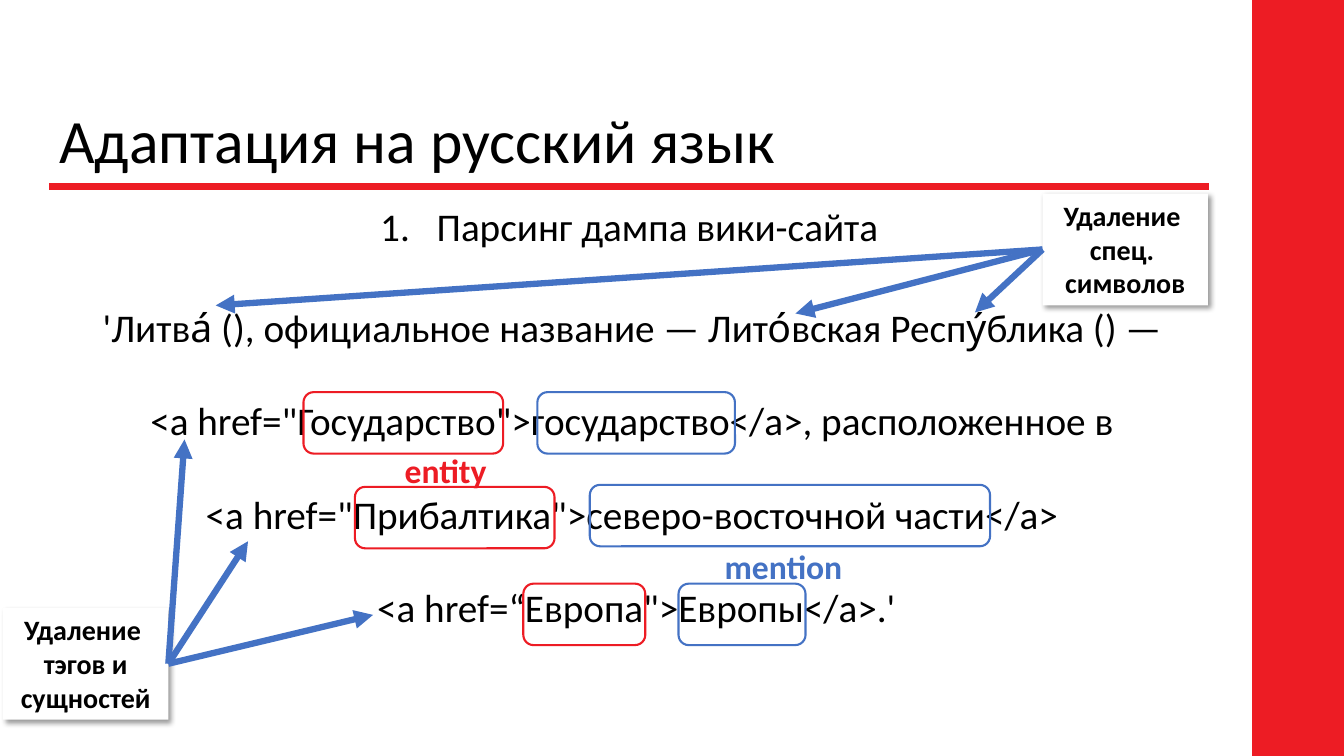
from dataclasses import dataclass

from lxml.etree import SubElement
from pptx import Presentation
from pptx.dml.color import RGBColor
from pptx.enum.shapes import MSO_CONNECTOR as Connector, MSO_SHAPE as Preset
from pptx.enum.text import MSO_ANCHOR as Anchor, PP_ALIGN as Align
from pptx.oxml.ns import qn
from pptx.util import Inches, Pt


@dataclass(frozen=True)
class Theme:
    font: str = "Calibri"
    red: str = "ED1C24"
    blue: str = "4472C4"
    black: str = "000000"
    white: str = "FFFFFF"
    title: int = 44
    body: int = 28
    label: int = 24
    callout: int = 20
    thick: float = 4.5
    thin: float = 1.5


THEME = Theme()


def color(value):
    return RGBColor.from_string(value)


def fill_text(shape, lines, size, tint=THEME.black, bold=False, align=Align.CENTER,
              anchor=Anchor.TOP, spacing=1.0, gap=0):
    frame = shape.text_frame
    frame.word_wrap = True
    frame.vertical_anchor = anchor
    for index, line in enumerate(lines):
        para = frame.paragraphs[0] if index == 0 else frame.add_paragraph()
        para.alignment = align
        para.line_spacing = spacing
        para.space_before = Pt(gap if index else 0)
        span = para.add_run()
        span.text = line
        span.font.name = THEME.font
        span.font.size = Pt(size)
        span.font.bold = bold
        span.font.color.rgb = color(tint)
    return frame


def add_text(page, box, lines, size, **style):
    shape = page.shapes.add_textbox(*map(Inches, box))
    return fill_text(shape, lines, size, **style)


def add_line(page, start, end, tint, arrow=False):
    line = page.shapes.add_connector(Connector.STRAIGHT, *map(Inches, start + end))
    line.line.color.rgb = color(tint)
    line.line.width = Pt(THEME.thick)
    if arrow:
        SubElement(line.line._get_or_add_ln(), qn("a:tailEnd"), type="triangle")
    SubElement(line._element.spPr, qn("a:effectLst"))


def add_side_band(page, box):
    band = page.shapes.add_shape(Preset.RECTANGLE, *map(Inches, box))
    band.shadow.inherit = False
    band.fill.solid()
    band.fill.fore_color.rgb = color(THEME.red)
    band.line.color.rgb = color(THEME.red)
    band.line.width = Pt(1)


def add_heading(page, box, text):
    left, top, width, height = box
    base = top + height
    add_line(page, (left, base), (left + width, base), THEME.red)
    add_text(page, box, [text], THEME.title, align=Align.LEFT,
             anchor=Anchor.MIDDLE, spacing=0.9)


def add_step(page, box, text):
    frame = add_text(page, box, [text], THEME.body, spacing=0.9)
    props = frame.paragraphs[0]._p.get_or_add_pPr()
    props.set("marL", str(Inches(0.56)))
    props.set("indent", str(-Inches(0.56)))
    SubElement(props, qn("a:buFont"), typeface="+mj-lt")
    SubElement(props, qn("a:buAutoNum"), type="arabicPeriod")


def add_markup(page, box, lines, frames, labels):
    left, top = box[:2]
    add_text(page, box, lines, THEME.body, gap=33)
    for x, y, width, tint in frames:
        place = map(Inches, (left + x, top + y, width, 0.61))
        outline = page.shapes.add_shape(Preset.ROUNDED_RECTANGLE, *place)
        outline.shadow.inherit = False
        outline.fill.background()
        outline.line.color.rgb = color(tint)
        outline.line.width = Pt(THEME.thin)
    for x, y, text, tint in labels:
        add_text(page, (left + x, top + y, 2.74, 0.5), [text], THEME.label,
                 tint=tint, bold=True)


def add_callout(page, box, lines, on_left, targets):
    left, top, width, height = box
    card = page.shapes.add_shape(Preset.RECTANGLE, *map(Inches, box))
    card.fill.solid()
    card.fill.fore_color.rgb = color(THEME.white)
    card.line.fill.background()
    effects = SubElement(card._element.spPr, qn("a:effectLst"))
    shadow = SubElement(effects, qn("a:outerShdw"), blurRad=str(Pt(4)), dist=str(Pt(3)),
                        dir="2700000", algn="tl", rotWithShape="0")
    shade = SubElement(shadow, qn("a:srgbClr"), val=THEME.black)
    SubElement(shade, qn("a:alpha"), val="40000")
    fill_text(card, lines, THEME.callout, bold=True)
    start = (left if on_left else left + width, top + height / 2)
    for target in targets:
        add_line(page, start, target, THEME.blue, arrow=True)


def main():
    deck = Presentation()
    deck.slide_width, deck.slide_height = Inches(13.33), Inches(7.5)
    page = deck.slides.add_slide(deck.slide_layouts[6])
    red, blue = THEME.red, THEME.blue

    add_side_band(page, (12.42, 0, 0.91, 7.5))
    add_heading(page, (0.49, 1, 11.5, 0.85), "Адаптация на русский язык")
    add_step(page, (0.49, 2.01, 11.5, 0.6), "Парсинг дампа вики-сайта")
    add_markup(
        page, (0.64, 2.96, 11.34, 3.4),
        ["'Литва́ (), официальное название — Лито́вская Респу́блика () — ",
         '<a href="Государство">государство</a>, расположенное в ',
         '<a href="Прибалтика">северо-восточной части</a> ',
         '<a href=“Европа">Европы</a>.\''],
        [(2.37, 0.93, 1.98, red), (4.69, 0.93, 1.96, blue),
         (2.88, 1.87, 1.98, red), (5.21, 1.85, 3.97, blue),
         (4.55, 2.83, 1.21, red), (6.09, 2.83, 1.26, blue)],
        [(2.41, 1.45, "entity", red), (5.76, 2.41, "mention", blue)])
    add_callout(page, (10.34, 1.92, 1.64, 1.11), ["Удаление ", "спец. ", "символов"],
                True, [(2.14, 3.03), (7.89, 3.11), (9.67, 3.1)])
    add_callout(page, (0.03, 6.03, 1.64, 1.11), ["Удаление ", "тэгов и сущностей"],
                False, [(1.83, 4.36), (2.46, 5.37), (3.7, 6.1)])
    deck.save("out.pptx")


if __name__ == "__main__":
    main()
